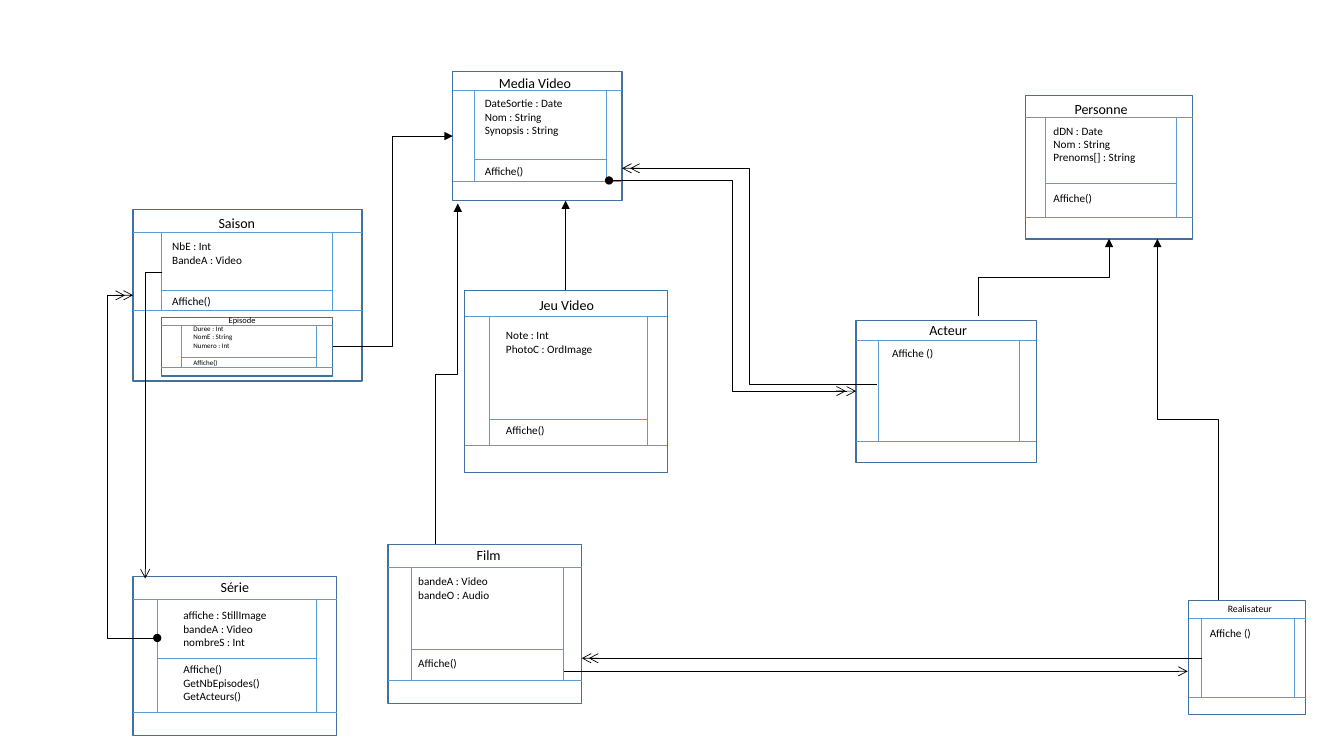
import dataclasses
import typing

import lxml.etree
import pptx
import pptx.dml.color
import pptx.enum.shapes
import pptx.oxml
import pptx.oxml.ns
import pptx.shapes.connector
import pptx.slide
import pptx.util

Inches = pptx.util.Inches
Point = typing.Tuple[float, float]
Color = pptx.dml.color.RGBColor


@dataclasses.dataclass(frozen=True)
class Theme:
    font: str = "Calibri"
    text: Color = Color(0, 0, 0)
    fill: Color = Color(255, 255, 255)
    border: Color = Color(0x41, 0x71, 0x9C)
    rule: Color = Color(0x5B, 0x9B, 0xD5)
    arrow: Color = Color(0, 0, 0)
    border_width: float = 1
    line_width: float = 0.5
    title_size: float = 10
    small_title_size: float = 7
    tiny_title_size: float = 6
    body_size: float = 8
    tiny_body_size: float = 5
    line_height: float = 1.22
    inset: float = 0.05


THEME = Theme()


@dataclasses.dataclass(frozen=True)
class Label:
    left: float
    top: float
    width: float
    size: float


@dataclasses.dataclass(frozen=True)
class ClassBox:
    name: str
    left: float
    top: float
    width: float
    height: float
    header: float
    footer: float
    inner_left: float
    inner_right: float
    title: Label
    body: typing.Optional[Label]
    attributes: typing.Tuple[str, ...] = ()
    methods: typing.Tuple[str, ...] = ("Affiche()",)
    gap_lines: int = 0
    divider: typing.Optional[float] = None


@dataclasses.dataclass(frozen=True)
class Link:
    start: Point
    end: Point
    tail: str = "triangle"
    head: str = "none"
    bend: typing.Optional[float] = None
    vertical: bool = False


CLASS_BOXES = (
    ClassBox("Media Video", 4.49, 0.71, 1.68, 1.28, 0.9, 1.8, 4.7, 6.01,
             Label(4.85, 0.69, 1.09, THEME.title_size), Label(4.71, 0.91, 1.17, THEME.body_size),
             ("DateSortie : Date", "Nom : String", "Synopsis : String"),
             gap_lines=2, divider=1.58),
    ClassBox("Saison", 1.32, 2.08, 2.27, 1.7, 2.31, 3.08, 1.6, 3.3,
             Label(2.07, 2.08, 1.57, THEME.title_size), Label(1.61, 2.33, 1.43, THEME.body_size),
             ("NbE : Int", "BandeA : Video"), gap_lines=2, divider=2.88),
    ClassBox("Episode", 1.6, 3.15, 1.7, 0.58, 3.23, 3.64, 1.8, 3.14,
             Label(2.17, 3.08, 1.28, THEME.tiny_title_size),
             Label(1.82, 3.17, 1.16, THEME.tiny_body_size),
             ("Duree : Int", "NomE : String", "Numero : Int"), gap_lines=1, divider=3.55),
    ClassBox("Personne", 10.17, 0.95, 1.66, 1.42, 1.16, 2.16, 10.37, 11.67,
             Label(10.56, 0.95, 1.08, THEME.title_size), Label(10.35, 1.18, 1.27, THEME.body_size),
             ("dDN : Date", "Nom : String", "Prenoms[] : String"),
             gap_lines=2, divider=1.82),
    ClassBox("Acteur", 8.49, 3.18, 1.79, 1.41, 3.38, 4.38, 8.71, 10.11,
             Label(9.12, 3.14, 1.17, THEME.title_size), Label(8.75, 3.39, 0.85, THEME.body_size),
             methods=("Affiche ()",)),
    ClassBox("Realisateur", 11.79, 5.96, 1.16, 1.13, 6.13, 6.92, 11.92, 12.84,
             Label(12.08, 5.93, 0.76, THEME.small_title_size),
             Label(11.9, 6.16, 0.85, THEME.body_size), methods=("Affiche ()",)),
    ClassBox("Série", 1.32, 5.72, 2.02, 1.58, 5.95, 7.07, 1.56, 3.14,
             Label(2.09, 5.69, 1.33, THEME.title_size), Label(1.72, 5.99, 1.43, THEME.body_size),
             ("affiche : StillImage", "bandeA : Video", "nombreS : Int"),
             ("Affiche()", "GetNbEpisodes()", "GetActeurs()"), 1, 6.53),
    ClassBox("Jeu Video", 4.61, 2.88, 2.01, 1.81, 3.14, 4.42, 4.85, 6.42,
             Label(5.25, 2.89, 1.28, THEME.title_size), Label(4.92, 3.21, 1.41, THEME.body_size),
             ("Note : Int", "PhotoC : OrdImage"), gap_lines=5, divider=4.16),
    ClassBox("Film", 3.85, 5.4, 1.92, 1.58, 5.63, 6.75, 4.08, 5.59,
             Label(4.63, 5.37, 0.6, THEME.title_size), Label(4.05, 5.65, 1.5, THEME.body_size),
             ("bandeA : Video", "bandeO : Audio"), gap_lines=4, divider=6.44),
)

LINKS = (
    Link((1.56, 6.33), (1.32, 2.93), "arrow", "oval", bend=2.04),
    Link((1.07, 2.93), (1.24, 2.93), "arrow"),
    Link((1.61, 2.7), (1.44, 5.74), "arrow", bend=0, vertical=True),
    Link((3.3, 3.44), (4.49, 1.35), bend=0.5),
    Link((5.61, 2.88), (5.61, 1.99)),
    Link((4.32, 5.4), (4.54, 2.02), bend=0.5, vertical=True),
    Link((9.7, 3.14), (11, 2.37), bend=0.5, vertical=True),
    Link((12.08, 5.95), (11.48, 2.37), bend=0.5, vertical=True),
    Link((11.92, 6.53), (5.77, 6.53), "arrow"),
    Link((6.25, 6.53), (5.84, 6.53), "arrow"),
    Link((5.59, 6.66), (11.78, 6.66), "arrow"),
    Link((6.04, 1.79), (8.49, 3.88), "arrow", "oval", bend=0.5),
    Link((8.17, 3.88), (8.39, 3.88), "arrow"),
    Link((8.7, 3.81), (6.17, 1.67), "arrow", bend=0.5),
    Link((6.42, 1.67), (6.25, 1.67), "arrow"),
)


def add_line(slide: pptx.slide.Slide, start: Point, end: Point, color: Color,
             elbow: bool = False) -> pptx.shapes.connector.Connector:
    kinds = pptx.enum.shapes.MSO_CONNECTOR
    connector = slide.shapes.add_connector(
        kinds.ELBOW if elbow else kinds.STRAIGHT, *map(Inches, start + end))
    connector.line.color.rgb = color
    connector.line.width = pptx.util.Pt(THEME.line_width)
    lxml.etree.SubElement(connector._element.spPr, pptx.oxml.ns.qn("a:effectLst"))
    return connector


def add_link(slide: pptx.slide.Slide, link: Link) -> None:
    start, end = link.start, link.end
    if link.vertical:
        middle_x, middle_y = (start[0] + end[0]) / 2, (start[1] + end[1]) / 2
        half_x, half_y = (end[0] - start[0]) / 2, (end[1] - start[1]) / 2
        start = (middle_x - half_y, middle_y + half_x)
        end = (middle_x + half_y, middle_y - half_x)
    connector = add_line(slide, start, end, THEME.arrow, link.bend is not None)
    properties = connector._element.spPr
    if link.vertical:
        properties.find(pptx.oxml.ns.qn("a:xfrm")).set("rot", "5400000")
    if link.bend is not None:
        adjustments = properties.find(".//" + pptx.oxml.ns.qn("a:avLst"))
        lxml.etree.SubElement(adjustments, pptx.oxml.ns.qn("a:gd"),
                              name="adj1", fmla=f"val {round(link.bend * 100000)}")
    outline = properties.find(pptx.oxml.ns.qn("a:ln"))
    for tag, kind in (("a:headEnd", link.head), ("a:tailEnd", link.tail)):
        lxml.etree.SubElement(outline, pptx.oxml.ns.qn(tag), type=kind)


def add_label(slide: pptx.slide.Slide, label: Label, lines: typing.Tuple[str, ...],
              gap_before: int = 0, gap_lines: int = 0) -> None:
    line_points = label.size * THEME.line_height
    height = (len(lines) + gap_lines) * line_points / 72 + 2 * THEME.inset
    text_box = slide.shapes.add_textbox(
        *map(Inches, (label.left, label.top, label.width, height)))
    text_frame = text_box.text_frame
    text_frame.word_wrap = True
    text_frame.text = "\n".join(lines)
    for paragraph in text_frame.paragraphs:
        font = paragraph.runs[0].font
        font.name, font.size = THEME.font, pptx.util.Pt(label.size)
        font.color.rgb = THEME.text
    if gap_lines:
        text_frame.paragraphs[gap_before].space_before = pptx.util.Pt(gap_lines * line_points)


def add_class_box(slide: pptx.slide.Slide, box: ClassBox) -> None:
    shape = slide.shapes.add_shape(
        pptx.enum.shapes.MSO_SHAPE.RECTANGLE,
        *map(Inches, (box.left, box.top, box.width, box.height)))
    shape.shadow.inherit = False
    shape.fill.solid()
    shape.fill.fore_color.rgb = THEME.fill
    shape.line.color.rgb = THEME.border
    shape.line.width = pptx.util.Pt(THEME.border_width)
    for y in (box.header, box.footer):
        add_line(slide, (box.left, y), (box.left + box.width, y), THEME.rule)
    for x in (box.inner_left, box.inner_right):
        add_line(slide, (x, box.header), (x, box.footer), THEME.rule)
    if box.divider is not None:
        add_line(slide, (box.inner_left, box.divider), (box.inner_right, box.divider), THEME.rule)
    add_label(slide, box.title, (box.name,))
    add_label(slide, box.body, box.attributes + box.methods, len(box.attributes), box.gap_lines)


presentation = pptx.Presentation()
presentation.slide_width, presentation.slide_height = Inches(13.33), Inches(7.5)
diagram = presentation.slides.add_slide(presentation.slide_layouts[6])
for class_box in CLASS_BOXES:
    add_class_box(diagram, class_box)
for class_link in LINKS:
    add_link(diagram, class_link)
presentation.save("out.pptx")
